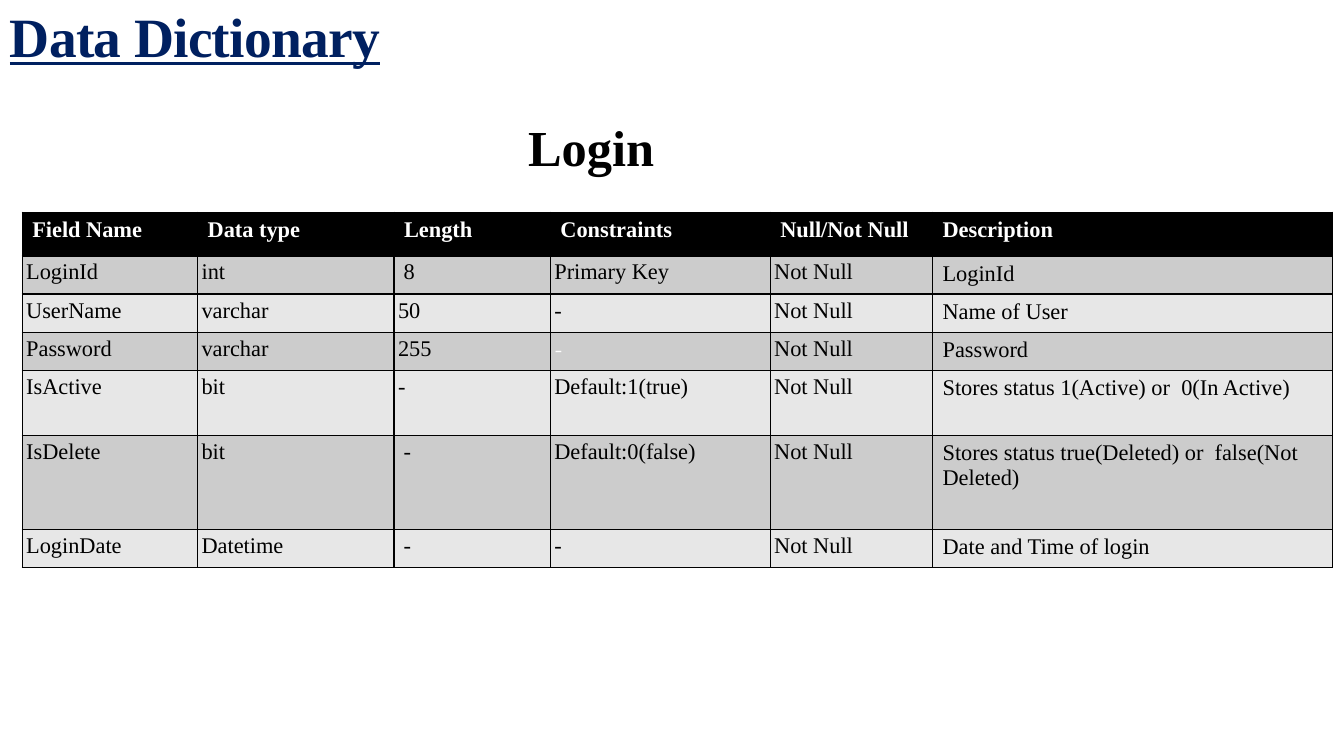
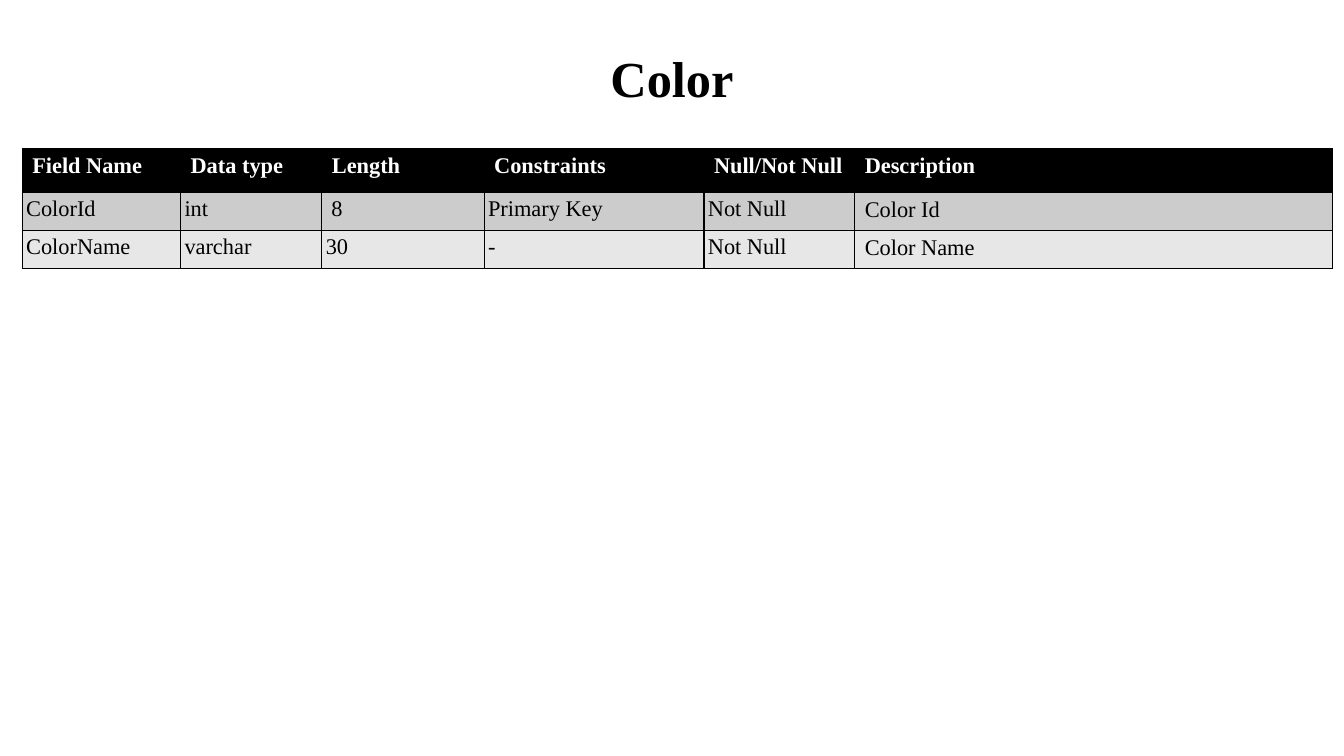
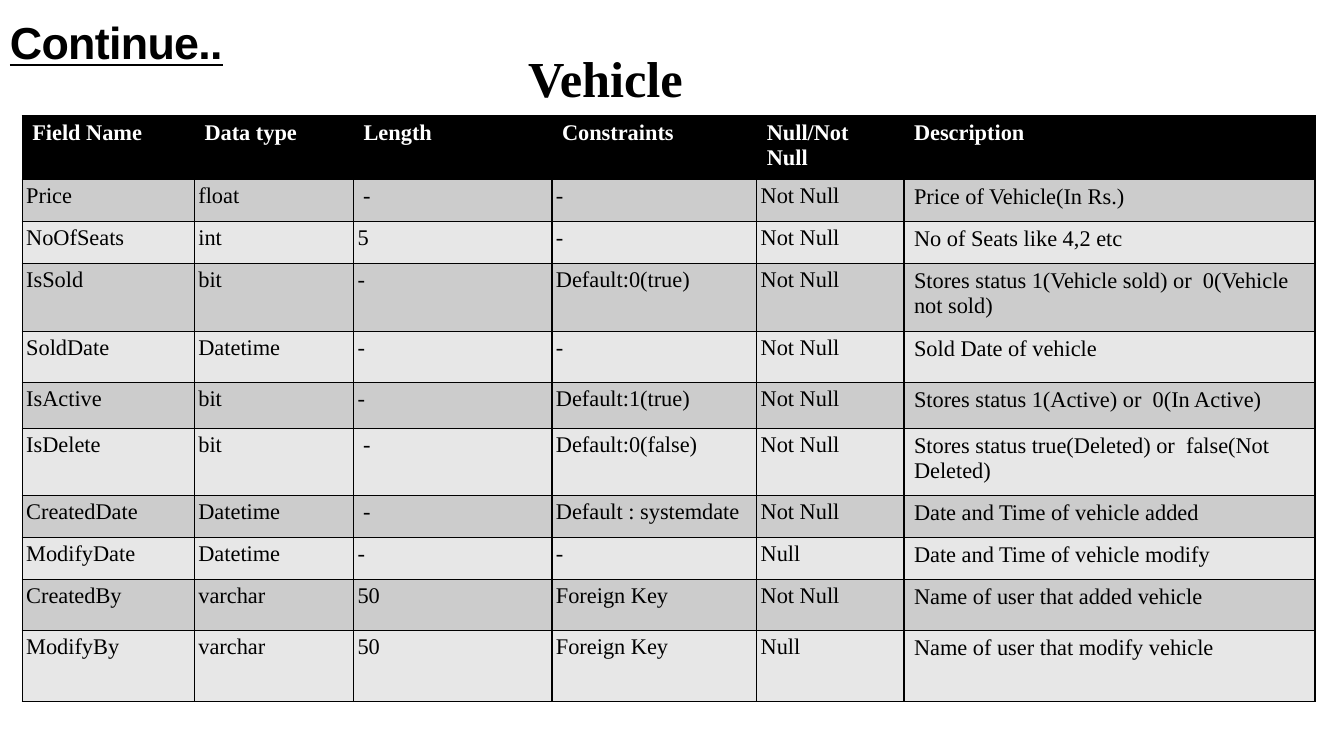
from dataclasses import dataclass

from lxml import etree
from pptx import Presentation
from pptx.dml.color import RGBColor
from pptx.enum import text
from pptx.oxml import ns
from pptx.util import Cm, Pt


@dataclass(frozen=True)
class Theme:
    serif: str = "Times New Roman"
    sans: str = "Arial"
    accent_font: str = "Cambria"
    navy: str = "002060"
    black: str = "000000"
    white: str = "FFFFFF"
    bands: tuple = ("CCCCCC", "E7E7E7")
    heading_size: float = 36
    cell_size: float = 16
    accent_size: float = 18


theme = Theme()

HEADERS = ["Field Name", "Data type", "Length", "Constraints", "Null/Not Null", "Description"]
TABLE_LEFT = 0.56
CELL_INSET = Cm(0.1)
BORDER_WIDTH = Pt(1)
HEADING_HEIGHT = 1.8
SLIDE_WIDTH = 33.87
# Left, width and paragraph indent of a heading
INDENTED = (2.9, 23.42, 10.16)
CENTRED = (0, SLIDE_WIDTH, 0)

pages = [
    dict(
        title=("Data Dictionary", theme.serif, 39.6, theme.navy),
        heading="Login", heading_top=2.8, heading_place=INDENTED,
        table_top=5.35,
        widths=[4.42, 4.95, 3.94, 5.54, 4.09, 10.08],
        heights=[1.1, 0.96, 0.96, 0.96, 1.65, 2.36, 0.96],
        rows=[
            ["LoginId", "int", " 8", "Primary Key", "Not Null", "LoginId"],
            ["UserName", "varchar", "50", "-", "Not Null", "Name of User"],
            ["Password", "varchar", "255", "-", "Not Null", "Password"],
            ["IsActive", "bit", "-", "Default:1(true)", "Not Null",
             "Stores status 1(Active) or  0(In Active)"],
            ["IsDelete", "bit", " -", "Default:0(false)", "Not Null",
             "Stores status true(Deleted) or  false(Not Deleted)"],
            ["LoginDate", "Datetime", " -", "-", "Not Null", "Date and Time of login"],
        ],
        accent_cell=(3, 3),
    ),
    dict(
        title=None,
        heading="Color", heading_top=1.07, heading_place=CENTRED,
        table_top=3.74,
        widths=[3.99, 3.56, 4.09, 5.54, 3.8, 12.05],
        heights=[1.1, 0.96, 0.96],
        rows=[
            ["ColorId", "int", " 8", "Primary Key", "Not Null", "Color Id"],
            ["ColorName", "varchar", "30", "-", "Not Null", "Color Name"],
        ],
        accent_cell=None,
    ),
    dict(
        title=("Continue..", theme.sans, 32, theme.black),
        heading="Vehicle", heading_top=1.07, heading_place=INDENTED,
        table_top=2.92,
        widths=[4.34, 4.01, 5.0, 5.16, 3.71, 10.36],
        heights=[1.22, 1.06, 1.06, 1.7, 1.29, 1.15, 1.7, 1.06, 1.06, 1.28, 1.78],
        rows=[
            ["Price", "float", " -", "-", "Not Null", "Price of Vehicle(In Rs.)"],
            ["NoOfSeats", "int", "5", "-", "Not Null", "No of Seats like 4,2 etc"],
            ["IsSold", "bit", "-", "Default:0(true)", "Not Null",
             "Stores status 1(Vehicle sold) or  0(Vehicle not sold)"],
            ["SoldDate", "Datetime", "-", "-", "Not Null", "Sold Date of vehicle"],
            ["IsActive", "bit", "-", "Default:1(true)", "Not Null",
             "Stores status 1(Active) or  0(In Active)"],
            ["IsDelete", "bit", " -", "Default:0(false)", "Not Null",
             "Stores status true(Deleted) or  false(Not Deleted)"],
            ["CreatedDate", "Datetime", " -", "Default : systemdate", "Not Null",
             "Date and Time of vehicle added"],
            ["ModifyDate", "Datetime", "-", "-", "Null", "Date and Time of vehicle modify"],
            ["CreatedBy", "varchar", "50", "Foreign Key", "Not Null",
             "Name of user that added vehicle"],
            ["ModifyBy", "varchar", "50", "Foreign Key", "Null",
             "Name of user that modify vehicle"],
        ],
        accent_cell=None,
    ),
]


def write(tf, words, font, size, color, bold):
    """Fill a text frame with one formatted paragraph and return it."""
    tf.text = words
    p = tf.paragraphs[0]
    f = p.runs[0].font
    f.name, f.size, f.bold = font, Pt(size), bold
    f.color.rgb = RGBColor.from_string(color)
    return p


def add_borders(cell):
    tcPr = cell._tc.get_or_add_tcPr()
    for side in ("lnL", "lnR", "lnT", "lnB"):
        ln = etree.SubElement(tcPr, ns.qn(f"a:{side}"), w=str(BORDER_WIDTH))
        fill = etree.SubElement(ln, ns.qn("a:solidFill"))
        etree.SubElement(fill, ns.qn("a:srgbClr"), val=theme.black)


prs = Presentation()
prs.slide_width, prs.slide_height = Cm(SLIDE_WIDTH), Cm(19.05)

for page in pages:
    slide = prs.slides.add_slide(prs.slide_layouts[6])

    if page["title"]:
        tf = slide.shapes.add_textbox(0, 0, Cm(30.43), Cm(1.88)).text_frame
        tf.word_wrap = True
        tf.vertical_anchor = text.MSO_ANCHOR.BOTTOM
        p = write(tf, *page["title"], True)
        p.line_spacing = 0.9
        p.runs[0].font.underline = True
        p.runs[0].font._element.set("spc", "-50")

    table = slide.shapes.add_table(
        len(page["heights"]), len(HEADERS), Cm(TABLE_LEFT), Cm(page["table_top"]),
        Cm(sum(page["widths"])), Cm(sum(page["heights"]))).table
    for column, width in zip(table.columns, page["widths"]):
        column.width = Cm(width)
    for row, height in zip(table.rows, page["heights"]):
        row.height = Cm(height)
    for i, values in enumerate([HEADERS] + page["rows"]):
        is_header = i == 0
        for j, value in enumerate(values):
            cell = table.cell(i, j)
            add_borders(cell)
            cell.fill.solid()
            cell.fill.fore_color.rgb = RGBColor.from_string(
                theme.black if is_header else theme.bands[(i - 1) % 2])
            if not is_header and j < len(HEADERS) - 1:
                cell.margin_left = cell.margin_right = CELL_INSET
                cell.margin_top = cell.margin_bottom = CELL_INSET
            if (i, j) == page["accent_cell"]:
                write(cell.text_frame, value, theme.accent_font, theme.accent_size,
                      theme.white, False)
            else:
                write(cell.text_frame, value, theme.serif, theme.cell_size,
                      theme.white if is_header else theme.black, is_header)

    left, width, indent = page["heading_place"]
    tf = slide.shapes.add_textbox(
        Cm(left), Cm(page["heading_top"]), Cm(width), Cm(HEADING_HEIGHT)).text_frame
    tf.word_wrap = True
    tf.auto_size = text.MSO_AUTO_SIZE.SHAPE_TO_FIT_TEXT
    p = write(tf, page["heading"], theme.serif, theme.heading_size, theme.black, True)
    if indent:
        p._p.get_or_add_pPr().set("marL", str(Cm(indent)))
    else:
        p.alignment = text.PP_ALIGN.CENTER

prs.save("out.pptx")
